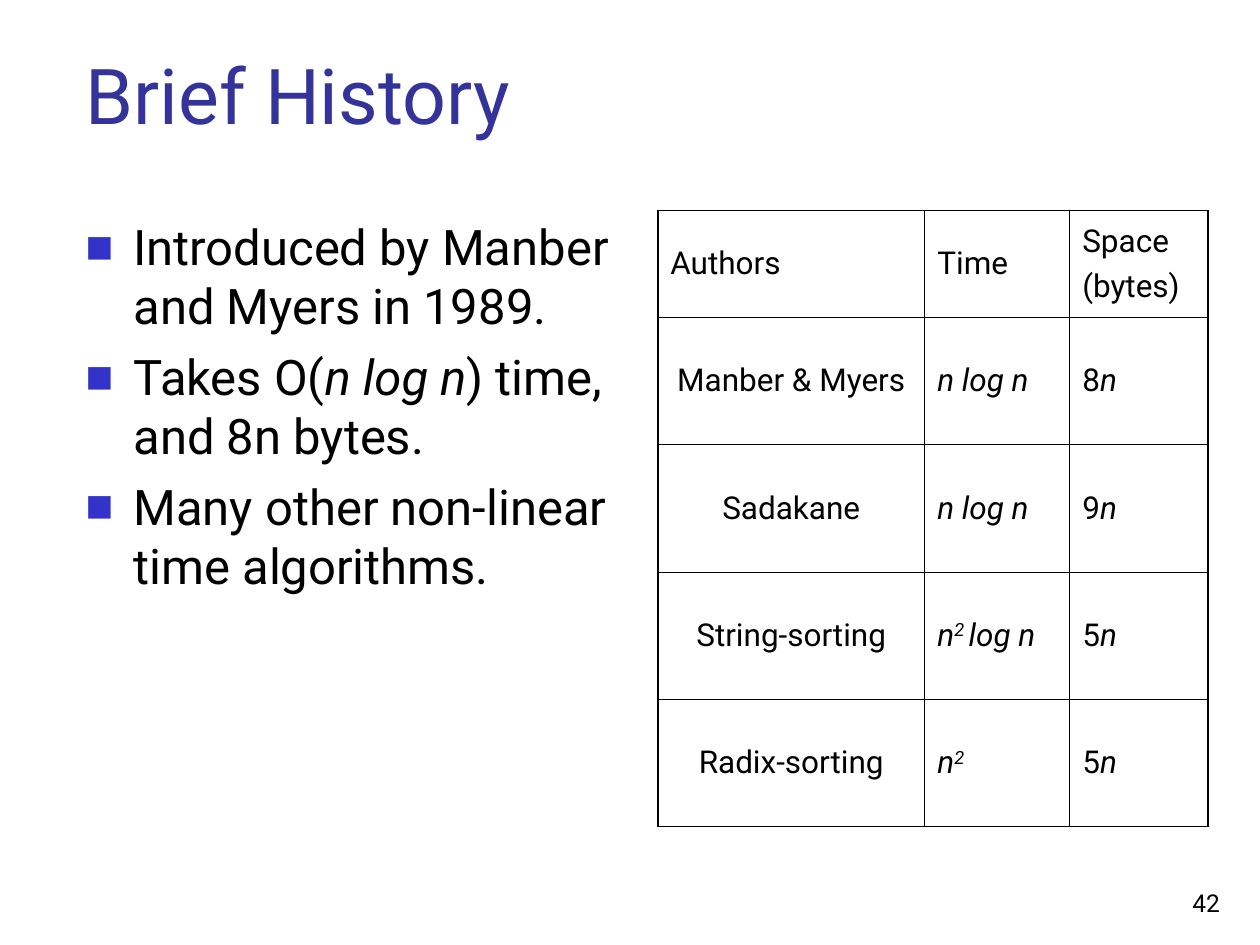
from lxml.etree import SubElement
from pptx import Presentation
from pptx.dml.color import RGBColor
from pptx.enum.text import MSO_ANCHOR as Anchor, MSO_AUTO_SIZE as Fit, PP_ALIGN as Align
from pptx.oxml import parse_xml
from pptx.oxml.ns import nsdecls, qn
from pptx.util import Inches, Pt

FONT = "Roboto"
INK, NAVY, BLUE = "000000", "333399", "3333CC"
THIN, THICK = 0.45, 1.08
TOP = 1.67
COLS = [2.12, 1.15, 1.1]
ROWS = [0.85] + [1.01] * 4

# A paragraph is a list of (text, style) runs: "" plain, "i" italic, "s" italic superscript.
POINTS = [
    [("Introduced by Manber and Myers in 1989.", "")],
    [("Takes O(", ""), ("n log n", "i"), (") time, and 8n bytes.", "")],
    [("Many other non-linear time algorithms.", "")],
]
NLOGN = [("n log n", "i")]
SQUARE_LOG = [("n", "i"), ("2 ", "s"), ("log n", "i")]
SQUARE = [("n", "i"), ("2", "s")]
METHODS = [
    ("Manber & Myers", NLOGN, "8"),
    ("Sadakane", NLOGN, "9"),
    ("String-sorting", SQUARE_LOG, "5"),
    ("Radix-sorting", SQUARE, "5"),
]


def tint(code):
    return RGBColor.from_string(code)


def place(box, left, top, width, height):
    box.left, box.top = Inches(left), Inches(top)
    box.width, box.height = Inches(width), Inches(height)


def add_run(para, text, style, size, color):
    run = para.add_run()
    run.text = text
    font = run.font
    font.name, font.size, font.color.rgb = FONT, Pt(size), tint(color)
    if style:
        font.italic = True
    if style == "s":
        run._r.get_or_add_rPr().set("baseline", "30000")


def add_bullet(para):
    props = para._p.get_or_add_pPr()
    props.set("marL", str(Inches(0.38)))
    props.set("indent", str(-Inches(0.38)))
    SubElement(SubElement(props, qn("a:buClr")), qn("a:srgbClr")).set("val", BLUE)
    SubElement(props, qn("a:buSzPct")).set("val", "60000")
    SubElement(props, qn("a:buFont")).set("typeface", FONT)
    SubElement(props, qn("a:buChar")).set("char", "■")


def write(frame, paras, size, color=INK, align=Align.LEFT, gap=0, bullet=False):
    frame.word_wrap = True
    for i, runs in enumerate(paras):
        para = frame.add_paragraph() if i else frame.paragraphs[0]
        para.alignment = align
        para.space_before = Pt(gap if i else 0)
        if bullet:
            add_bullet(para)
        for text, style in runs:
            add_run(para, text, style, size, color)


def add_title(slide):
    title = slide.shapes.title
    place(title, 0.58, 0.23, 9.08, 0.93)
    frame = title.text_frame
    frame.auto_size, frame.vertical_anchor = Fit.NONE, Anchor.BOTTOM
    write(frame, [[("Brief History", "")]], 44, NAVY)


def add_points(slide):
    body = slide.placeholders[1]
    place(body, 0.58, TOP, 4.41, 5.04)
    body.text_frame.auto_size = Fit.NONE
    write(body.text_frame, POINTS, 28, gap=7, bullet=True)


def set_border(cell, row, col):
    """Rule the cell: thick on the table's outer edge, thin inside."""
    outer = {"L": col == 0, "R": col == len(COLS) - 1,
             "T": row == 0, "B": row == len(ROWS) - 1}
    props = cell._tc.get_or_add_tcPr()
    for i, (side, edge) in enumerate(outer.items()):
        width = Pt(THICK if edge else THIN)
        props.insert(i, parse_xml(
            f'<a:ln{side} {nsdecls("a")} w="{width}"><a:solidFill>'
            f'<a:srgbClr val="{INK}"/></a:solidFill></a:ln{side}>'))


def add_grid(slide):
    frame = slide.shapes.add_table(
        len(ROWS), len(COLS), Inches(5.22), Inches(TOP),
        Inches(sum(COLS)), Inches(sum(ROWS)))
    table = frame.table
    table.first_row = table.horz_banding = False
    for col, width in zip(table.columns, COLS):
        col.width = Inches(width)
    for row, height in zip(table.rows, ROWS):
        row.height = Inches(height)

    head = [[[("Authors", "")]], [[("Time", "")]], [[("Space", "")], [("(bytes)", "")]]]
    data = [[[[(name, "")]], [time], [[(space, ""), ("n", "i")]]]
            for name, time, space in METHODS]
    for r, line in enumerate([head] + data):
        for c, paras in enumerate(line):
            cell = table.cell(r, c)
            cell.fill.background()
            cell.vertical_anchor = Anchor.MIDDLE
            set_border(cell, r, c)
            align = Align.CENTER if r and c == 0 else Align.LEFT
            write(cell.text_frame, paras, 18, align=align, gap=4.5)


def add_number(slide):
    box = slide.shapes.add_textbox(Inches(7.7), Inches(6.83), Inches(2.08), Inches(0.5))
    box.text_frame.vertical_anchor = Anchor.BOTTOM
    write(box.text_frame, [[("42", "")]], 14, align=Align.RIGHT)


def main():
    deck = Presentation()
    deck.slide_width, deck.slide_height = Inches(10), Inches(7.5)
    slide = deck.slides.add_slide(deck.slide_layouts[1])
    add_title(slide)
    add_points(slide)
    add_grid(slide)
    add_number(slide)
    deck.save("out.pptx")


if __name__ == "__main__":
    main()
